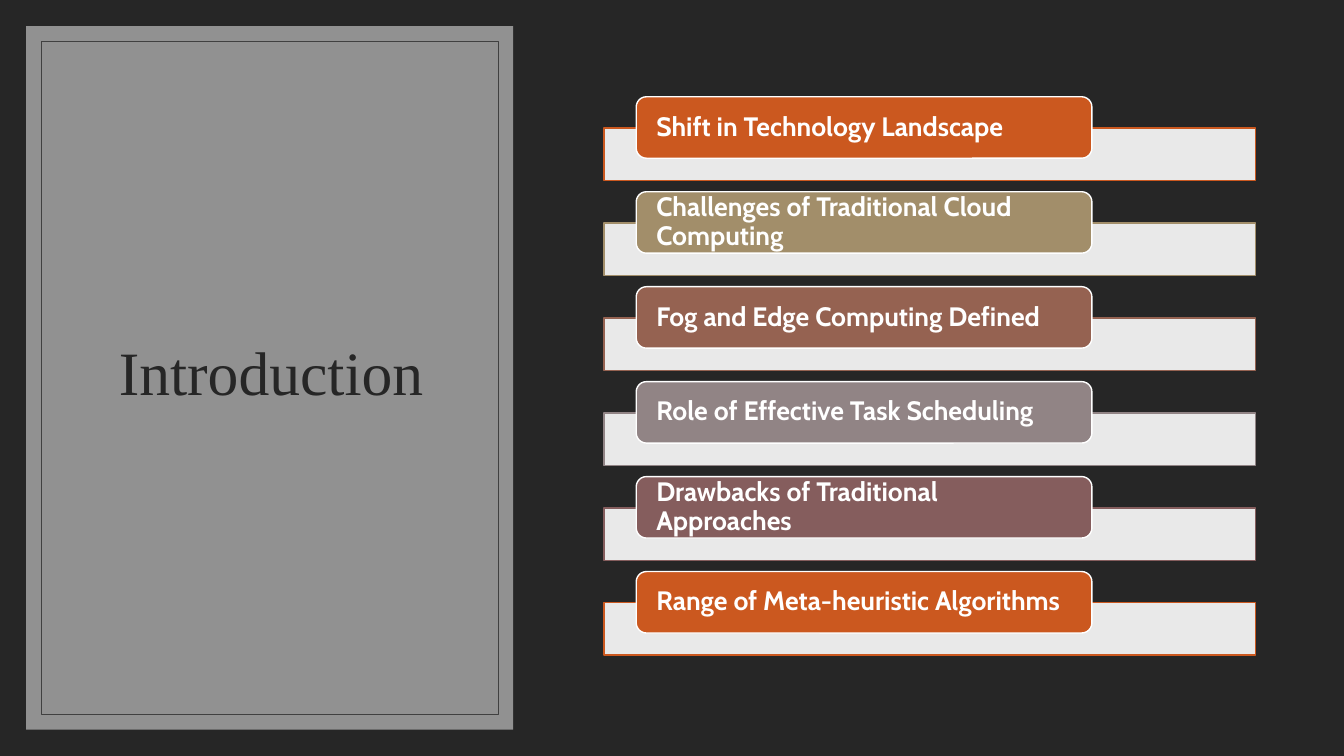
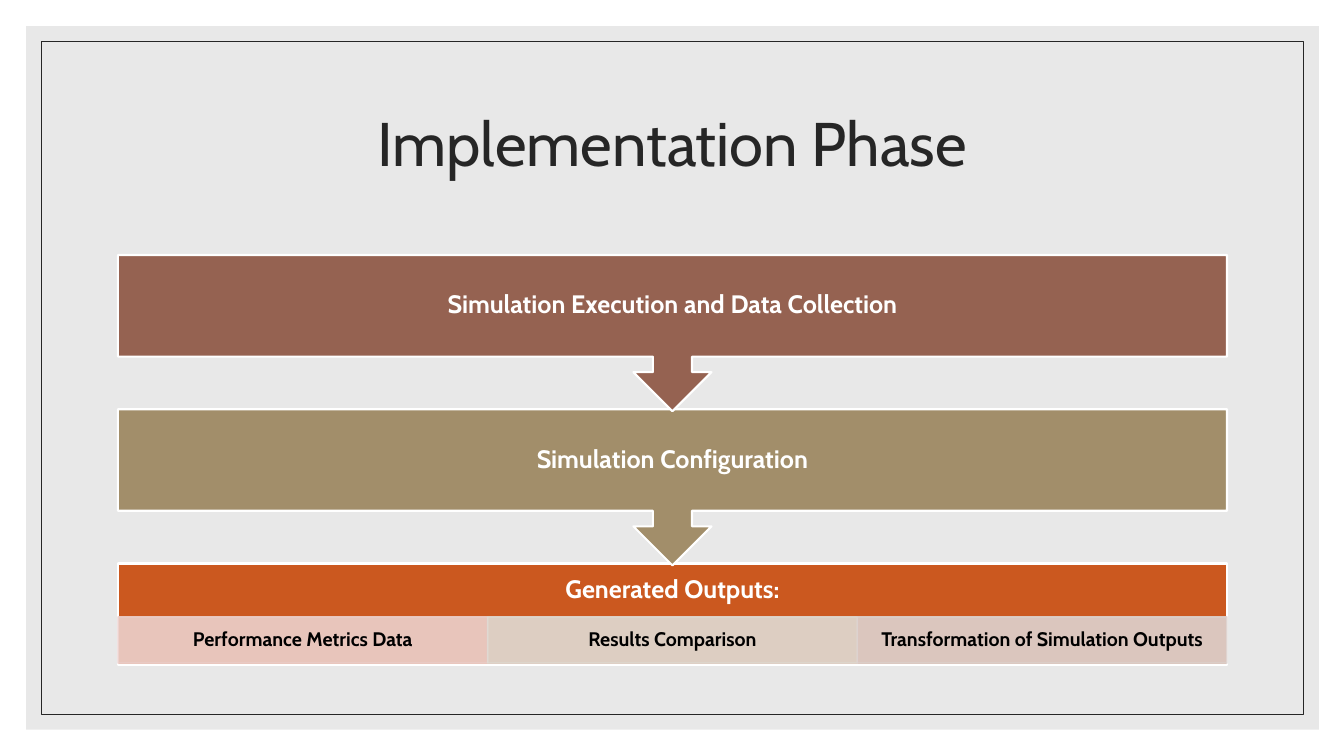
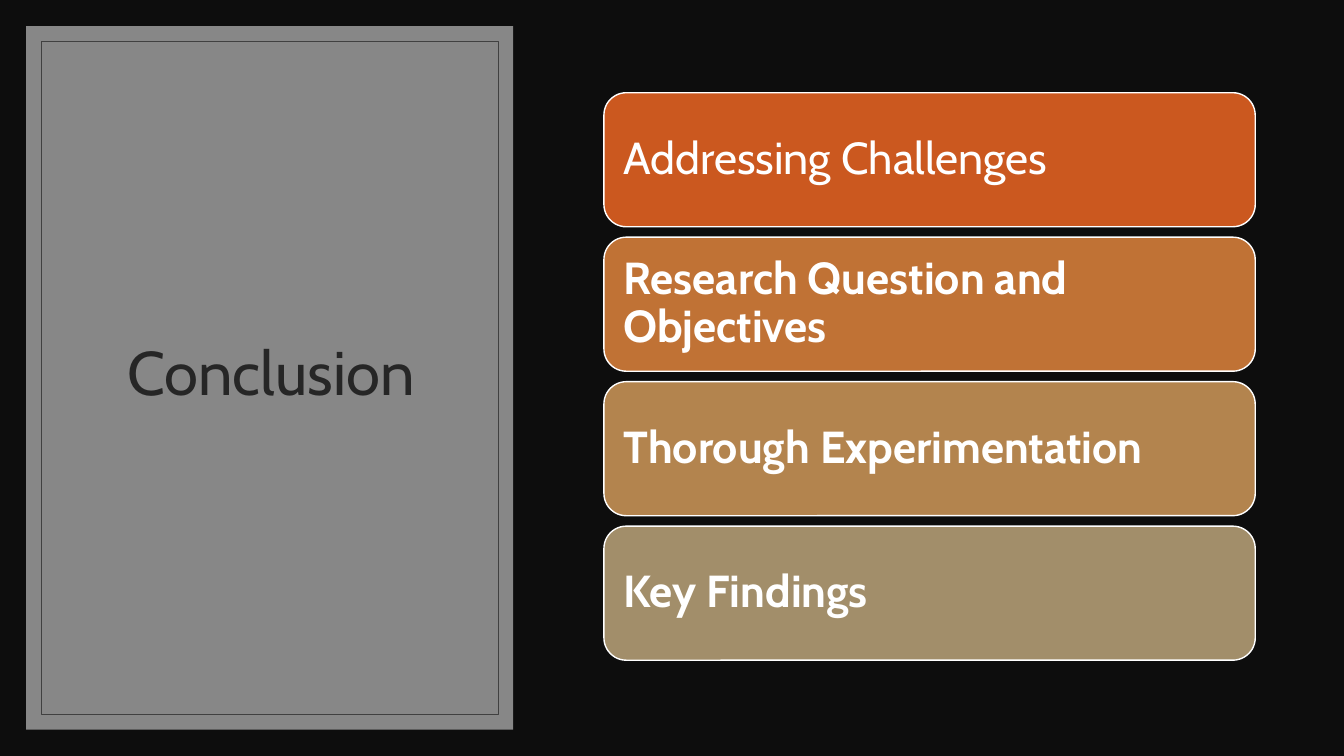
from lxml import etree
from pptx import Presentation
from pptx.dml.color import RGBColor
from pptx.enum.shapes import MSO_SHAPE
from pptx.enum.text import MSO_ANCHOR, PP_ALIGN
from pptx.oxml.ns import qn
from pptx.util import Inches, Pt

RECT = MSO_SHAPE.RECTANGLE
ROUNDED = MSO_SHAPE.ROUNDED_RECTANGLE
CALLOUT = MSO_SHAPE.DOWN_ARROW_CALLOUT
MIDDLE = MSO_ANCHOR.MIDDLE
LEFT, CENTER = PP_ALIGN.LEFT, PP_ALIGN.CENTER

COLORS = {
    "white": "FFFFFF", "black": "000000", "ink": "262626", "night": "0D0D0D",
    "panel": "D9D9D9", "frame": "404040", "orange": "CB581F", "copper": "C07235",
    "ochre": "B3844E", "sand": "A28E6A", "brown": "956251", "gray": "918485",
    "plum": "855D5D", "rose": "ECD1CD", "cream": "E0DBD4", "blush": "DDD3D0",
}
FONT = "Cabin"

# Content
TOPICS = [
    ("Shift in Technology Landscape", "orange"),
    ("Challenges of Traditional Cloud Computing", "sand"),
    ("Fog and Edge Computing Defined", "brown"),
    ("Role of Effective Task Scheduling", "gray"),
    ("Drawbacks of Traditional Approaches", "plum"),
    ("Range of Meta-heuristic Algorithms", "orange"),
]
PHASES = [
    ("Simulation Execution and Data Collection", "brown"),
    ("Simulation Configuration", "sand"),
]
OUTPUT_TITLE = "Generated Outputs:"
OUTPUTS = [
    ("Performance Metrics Data", "rose"),
    ("Results Comparison", "cream"),
    ("Transformation of Simulation Outputs", "blush"),
]
FINDINGS = [
    ("Addressing Challenges", "orange", False),
    ("Research Question and Objectives", "copper", True),
    ("Thorough Experimentation", "ochre", True),
    ("Key Findings", "sand", True),
]

# Layout shared by the slides
MARGIN, INSET = 0.26, 0.15
PANEL_HEIGHT = 6.98
SIDE_WIDTH, FULL_WIDTH = 4.83, 12.82
SIDE_TITLE = (0.63, 0.61, 4.12, 6.24)
TOP_TITLE = (1.17, 0.7, 11, 1.5)
LIST_LEFT, LIST_WIDTH = 5.99, 6.46
PHASE_LEFT, PHASE_WIDTH = 1.17, 11


def paint(color_format, name, opacity=100):
    color_format.rgb = RGBColor.from_string(COLORS[name])
    if opacity < 100:
        node = color_format._xFill.find(qn("a:srgbClr"))
        etree.SubElement(node, qn("a:alpha"), val=str(opacity * 1000))


def add_block(slide, area, fill=None, line=None, weight=1, kind=RECT,
              opacity=100, line_opacity=100):
    block = slide.shapes.add_shape(kind, *map(Inches, area))
    block.shadow.inherit = False
    if fill:
        block.fill.solid()
        paint(block.fill.fore_color, fill) if opacity == 100 else fade(block.fill, fill, opacity)
    else:
        block.fill.background()
    if line:
        block.line.width = Pt(weight)
        block.line.fill.solid()
        fade(block.line.fill, line, line_opacity)
    else:
        block.line.fill.background()
    return block


def fade(fill, name, opacity):
    paint(fill.fore_color, name, opacity)


def write(shape, text, size, color="white", bold=True, align=CENTER, font=FONT,
          insets=(0.1, 0.05, 0.1, 0.05)):
    frame = shape.text_frame
    frame.word_wrap = True
    frame.vertical_anchor = MIDDLE
    for side, inset in zip(("left", "top", "right", "bottom"), insets):
        setattr(frame, f"margin_{side}", Inches(inset))
    para = frame.paragraphs[0]
    para.alignment = align
    para.line_spacing = 0.9
    span = para.add_run()
    span.text = text
    for name, value in {"name": font, "size": Pt(size), "bold": bold}.items():
        setattr(span.font, name, value)
    paint(span.font.color, color)


def start_slide(deck, background, title, title_area, panel_width, frame_color, font=FONT):
    slide = deck.slides.add_slide(deck.slide_layouts[6])
    slide.background.fill.solid()
    paint(slide.background.fill.fore_color, background)
    add_block(slide, (MARGIN, MARGIN, panel_width, PANEL_HEIGHT), "panel", opacity=60)
    corner = MARGIN + INSET
    add_block(slide, (corner, corner, panel_width - 2 * INSET, PANEL_HEIGHT - 2 * INSET),
              line=frame_color, weight=0.5)
    box = slide.shapes.add_textbox(*map(Inches, title_area))
    write(box, title, 44, "ink", False, font=font)
    return slide


def build_introduction(deck):
    slide = start_slide(deck, "ink", "Introduction", SIDE_TITLE, SIDE_WIDTH, "frame",
                        "Times New Roman")
    first, last = 1.27, 5.98
    pitch = (last - first) / (len(TOPICS) - 1)
    for index, (topic, color) in enumerate(TOPICS):
        top = first + index * pitch
        add_block(slide, (LIST_LEFT, top, LIST_WIDTH, 0.52), "white", color, opacity=90)
        tab = add_block(slide, (LIST_LEFT + 0.32, top - 0.31, 4.52, 0.61),
                        color, "white", kind=ROUNDED)
        write(tab, topic, 19, align=LEFT, insets=(0.17, 0, 0.17, 0))


def build_implementation(deck):
    slide = start_slide(deck, "white", "Implementation Phase", TOP_TITLE, FULL_WIDTH, "ink")
    first, pitch, body, header = 2.53, 1.53, 1.01, 0.54
    padding = 0.14

    # Outputs, with one cell for each result
    top = first + len(PHASES) * pitch
    outputs = add_block(slide, (PHASE_LEFT, top, PHASE_WIDTH, body), "orange", "white", 1.5)
    write(outputs, OUTPUT_TITLE, 18,
          insets=(padding, padding, padding, body - header + padding))
    width = PHASE_WIDTH / len(OUTPUTS)
    for index, (result, color) in enumerate(OUTPUTS):
        cell = add_block(slide, (PHASE_LEFT + index * width, top + header - 0.01, width, 0.46),
                         color, color, opacity=90, line_opacity=90)
        write(cell, result, 14, "black", insets=(0.11, 0.02, 0.11, 0.02))

    # Phases, lowest first so that each arrow overlaps the block below
    for index, (phase, color) in reversed(list(enumerate(PHASES))):
        callout = add_block(slide, (PHASE_LEFT, first + index * pitch, PHASE_WIDTH, 1.55),
                            color, "white", 1.5, CALLOUT)
        for position, value in enumerate((0.25, 0.25, 0.25, 0.65)):
            callout.adjustments[position] = value
        write(callout, phase, 18, insets=(padding,) * 4)


def build_conclusion(deck):
    slide = start_slide(deck, "night", "Conclusion", SIDE_TITLE, SIDE_WIDTH, "frame")
    first, last = 0.92, 5.22
    pitch = (last - first) / (len(FINDINGS) - 1)
    for index, (finding, color, bold) in enumerate(FINDINGS):
        card = add_block(slide, (LIST_LEFT, first + index * pitch, LIST_WIDTH, 1.33),
                         color, "white", kind=ROUNDED)
        write(card, finding, 32, bold=bold, align=LEFT, insets=(0.13,) * 4)


def main():
    deck = Presentation()
    deck.slide_width, deck.slide_height = Inches(13.33), Inches(7.5)
    build_introduction(deck)
    build_implementation(deck)
    build_conclusion(deck)
    deck.save("out.pptx")


if __name__ == "__main__":
    main()
